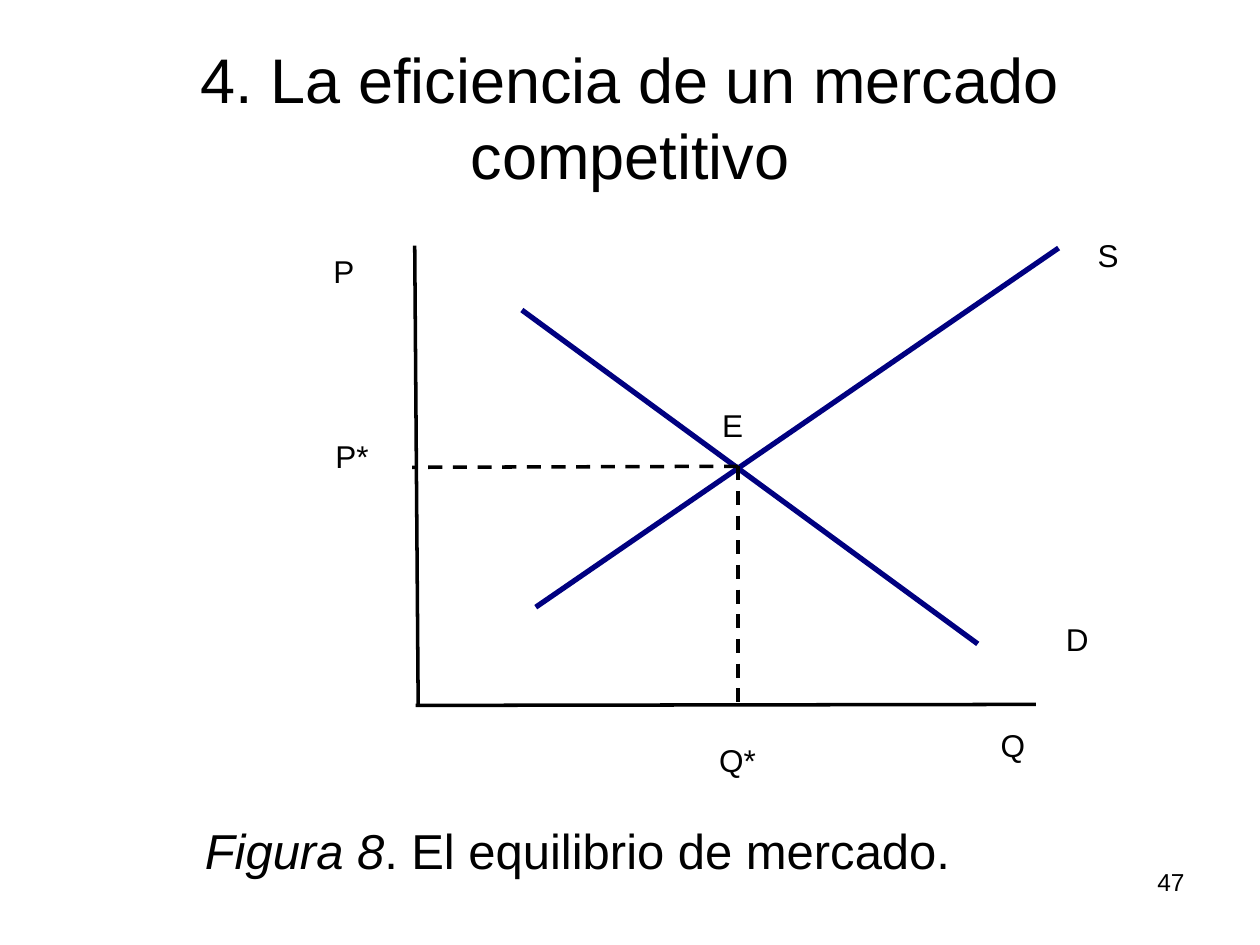
from dataclasses import dataclass

from lxml import etree
from pptx import Presentation
from pptx.dml.color import RGBColor
from pptx.enum.dml import MSO_LINE_DASH_STYLE as Dash
from pptx.enum.shapes import MSO_CONNECTOR as Connector
from pptx.enum.text import MSO_ANCHOR as Anchor, MSO_AUTO_SIZE as AutoSize, PP_ALIGN as Align
from pptx.oxml.ns import qn
from pptx.util import Cm, Pt


@dataclass(frozen=True)
class Theme:
    font: str = "Arial"
    ink: RGBColor = RGBColor(0, 0, 0)
    curve: RGBColor = RGBColor(0, 0, 0x80)
    title: int = 36
    caption: int = 28
    label: int = 18
    number: int = 14
    thin: int = 2
    thick: int = 3


class SlideBuilder:
    def __init__(self, slide, theme):
        self.slide = slide
        self.theme = theme

    def text(self, box, runs, size, align=Align.CENTER, **frame_format):
        """Add a text box; runs are (text, italic) pairs."""
        frame = self.slide.shapes.add_textbox(*map(Cm, box)).text_frame
        for key, value in {"word_wrap": True, **frame_format}.items():
            setattr(frame, key, value)
        paragraph = frame.paragraphs[0]
        paragraph.alignment = align
        for content, italic in runs:
            run = paragraph.add_run()
            run.text = content
            style = {"name": self.theme.font, "size": Pt(size), "italic": italic}
            for key, value in style.items():
                setattr(run.font, key, value)
            run.font.color.rgb = self.theme.ink

    def label(self, content, left, top, width):
        self.text((left, top, width, 1.02), [(content, False)], self.theme.label,
                  vertical_anchor=Anchor.MIDDLE, word_wrap=False,
                  auto_size=AutoSize.SHAPE_TO_FIT_TEXT)

    def line(self, start, end, color, width, dash=None):
        connector = self.slide.shapes.add_connector(
            Connector.STRAIGHT, *map(Cm, (*start, *end)))
        connector.line.color.rgb = color
        connector.line.width = Pt(width)
        if dash:
            connector.line.dash_style = dash
        etree.SubElement(connector._element.spPr, qn("a:effectLst"))


def main():
    deck = Presentation()
    deck.slide_width, deck.slide_height = Cm(25.4), Cm(19.05)
    theme = Theme()
    page = SlideBuilder(deck.slides.add_slide(deck.slide_layouts[6]), theme)

    # Title
    page.text((1.27, 0.76, 22.86, 3.18),
              [("4. La eficiencia de un mercado competitivo", False)],
              theme.title, vertical_anchor=Anchor.MIDDLE)

    # Axes
    page.line((8.36, 4.95), (8.43, 14.22), theme.ink, theme.thin)
    page.line((8.38, 14.22), (20.88, 14.2), theme.ink, theme.thin)

    # Demand and supply
    page.line((10.52, 6.25), (19.71, 12.98), theme.curve, theme.thick)
    page.line((10.8, 12.24), (21.34, 5), theme.curve, theme.thick)

    # Guides from the equilibrium to both axes
    equilibrium = (14.88, 9.4)
    for axis_point in ((8.31, 9.42), (14.88, 14.2)):
        page.line(equilibrium, axis_point, theme.ink, theme.thin, Dash.DASH)

    # Labels: text, left, top, width
    for label in (
        ("D", 21.23, 12.37, 0.97),
        ("P", 6.45, 4.95, 0.97),
        ("S", 21.87, 4.62, 0.94),
        ("Q*", 14.2, 14.81, 1.34),
        ("P*", 6.45, 8.69, 1.29),
        ("E", 14.3, 8.05, 0.94),
        ("Q", 19.91, 14.5, 1.02),
    ):
        page.label(*label)

    # Caption and slide number
    page.text((0.58, 16.41, 22.12, 1.32),
              [("Figura 8", True), (". El equilibrio de mercado.", False)], theme.caption)
    page.text((18.21, 17.35, 5.92, 1.32), [("47", False)], theme.number, Align.RIGHT)

    deck.save("out.pptx")


if __name__ == "__main__":
    main()
